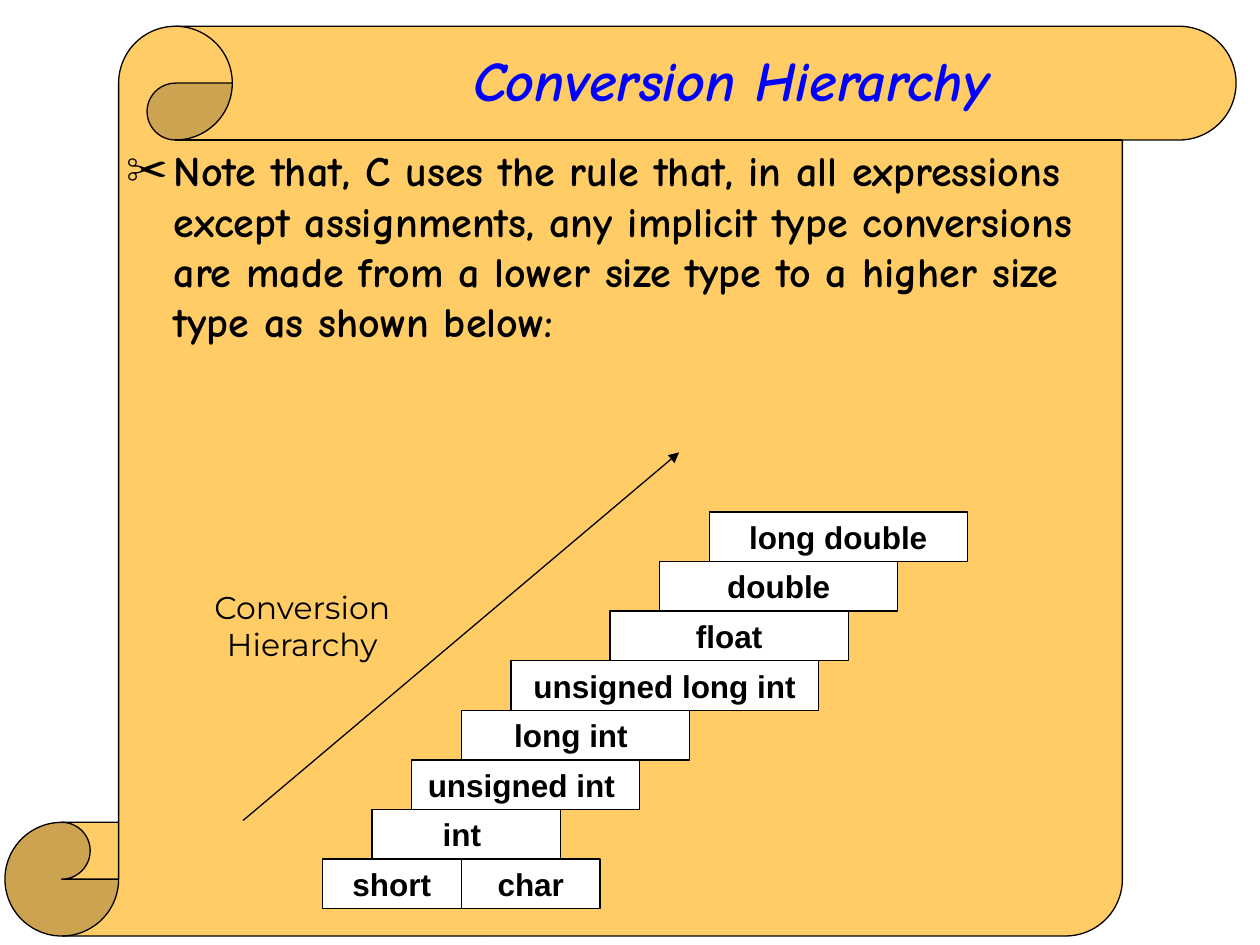
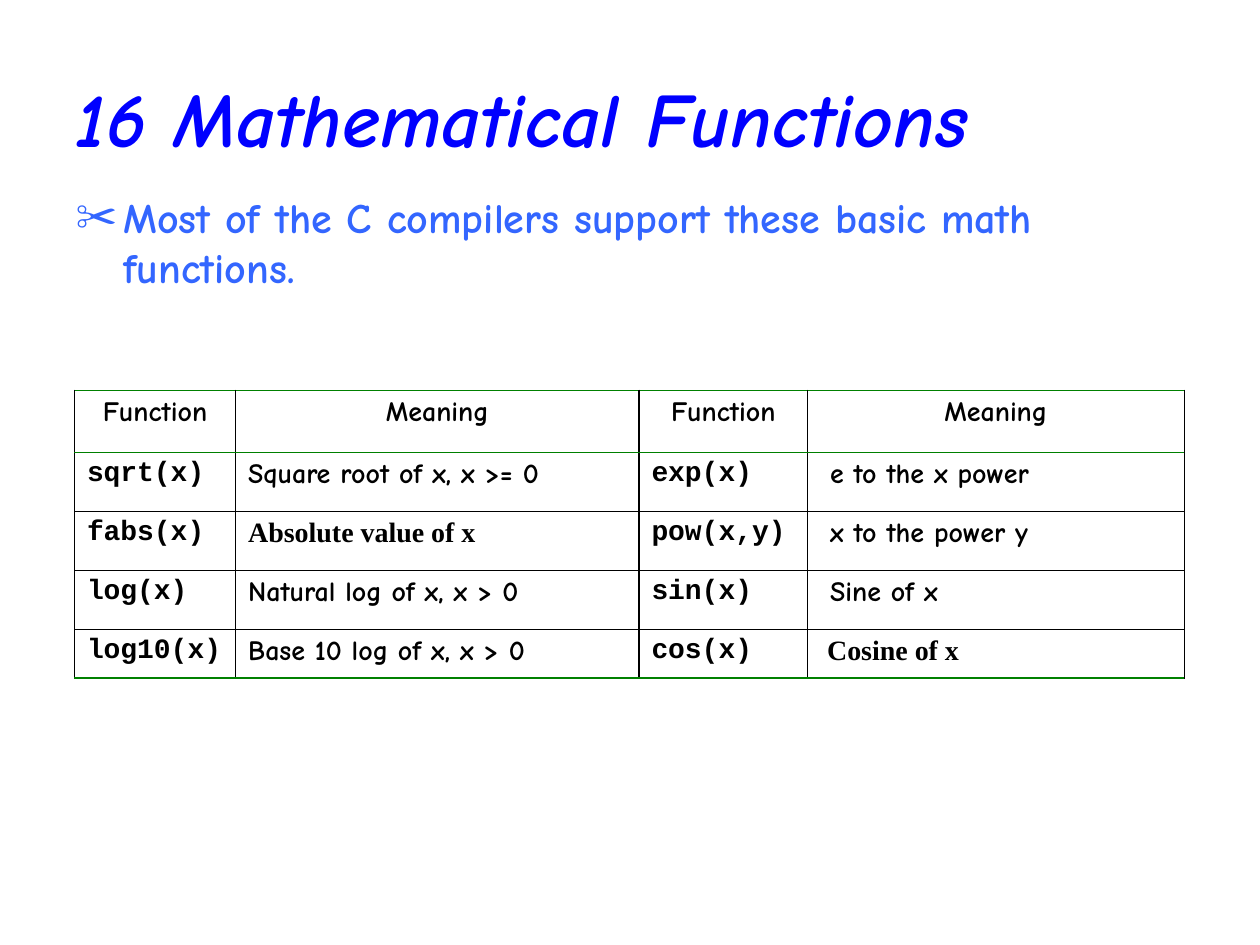
from typing import NamedTuple

from lxml.etree import SubElement
from pptx import Presentation
from pptx.dml.color import RGBColor
from pptx.enum.shapes import MSO_CONNECTOR, MSO_SHAPE
from pptx.enum.text import MSO_ANCHOR, MSO_AUTO_SIZE, PP_ALIGN
from pptx.oxml.ns import qn
from pptx.util import Cm, Pt

GRID = Cm(1)  # side of one grid square; the slide is 25.4 by 19.05 squares
COLUMNS, ROWS = 25.4, 19.05

BLACK, WHITE = "000000", "FFFFFF"
PARCHMENT, TITLE_BLUE, TEXT_BLUE, RULE_GREEN = "FFCC66", "0000FF", "3366FF", "008000"
HAND, SANS, LABEL, CODE, SERIF = (
    "Comic Neue", "Arial", "Montserrat", "Courier New", "Times New Roman")
BULLET = "✂"
BULLET_INDENT = 0.96
THIN_LINE = 0.75


class Box(NamedTuple):
    left: float
    top: float
    width: float
    height: float


class Font(NamedTuple):
    name: str
    size: float
    color: str = BLACK
    bold: bool = True
    italic: bool = False


class Step(NamedTuple):
    """A type in the staircase: row counted from the bottom, column from its left."""
    text: str
    row: int
    column: float
    width: float


class Border(NamedTuple):
    color: str
    width: float


STEPS = [
    Step("short", 0, 0, 2.8),
    Step("char", 0, 2.8, 2.8),
    Step("int ", 1, 1, 3.8),
    Step("unsigned int ", 2, 1.8, 4.6),
    Step("long int ", 3, 2.8, 4.6),
    Step("unsigned long int", 4, 3.8, 6.2),
    Step("float", 5, 5.8, 4.8),
    Step("double", 6, 6.8, 4.8),
    Step("long double", 7, 7.8, 5.2),
]
STAIRS_LEFT, STAIRS_BOTTOM = 6.5, 18.32

FUNCTIONS = [
    ["Function", "Meaning", "Function", "Meaning"],
    ["sqrt(x)", "Square root of x, x >= 0", "exp(x)", " e to the x power"],
    ["fabs(x)", "Absolute value of x", "pow(x,y)", " x to the power y"],
    ["log(x)", "Natural log of x, x > 0", "sin(x)", " Sine of x"],
    ["log10(x)", "Base 10 log of x, x > 0", "cos(x)", " Cosine of x"],
]
SERIF_CELLS = {(2, 1), (4, 3)}
COLUMN_WIDTHS = [3.25, 8.13, 3.4, 7.59]
ROW_HEIGHTS = [1.24, 1.19, 1.19, 1.19, 0.99]
ROW_RULES = [Border(RULE_GREEN, 0.96), Border(RULE_GREEN, 0.45),
             *[Border(BLACK, 0.34)] * 3, Border(RULE_GREEN, 0.96)]
COLUMN_RULES = [Border(BLACK, width) for width in (0.45, 0.45, 0.96, 0.45, 0.45)]


def squares(count: float) -> int:
    return round(count * GRID)


def rgb(color: str) -> RGBColor:
    return RGBColor.from_string(color)


def place(shape, box: Box) -> None:
    shape.left, shape.top, shape.width, shape.height = map(squares, box)


def write(paragraph, text: str, font: Font, alignment=PP_ALIGN.LEFT) -> None:
    paragraph.alignment = alignment
    run = paragraph.add_run()
    run.text = text
    run.font.name, run.font.size = font.name, Pt(font.size)
    run.font.bold, run.font.italic = font.bold, font.italic
    run.font.color.rgb = rgb(font.color)


def fill_title(slide, box: Box, text: str, size: float, alignment) -> None:
    title = slide.shapes.title
    place(title, box)
    title.text_frame.auto_size = MSO_AUTO_SIZE.NONE
    title.text_frame.vertical_anchor = MSO_ANCHOR.MIDDLE
    font = Font(HAND, size, TITLE_BLUE, italic=True)
    write(title.text_frame.paragraphs[0], text, font, alignment)


def fill_body(slide, box: Box, text: str, color: str) -> None:
    body = slide.placeholders[1]
    place(body, box)
    body.text_frame.auto_size = MSO_AUTO_SIZE.NONE
    paragraph = body.text_frame.paragraphs[0]
    paragraph.space_before = Pt(6)
    write(paragraph, text, Font(HAND, 24, color))
    properties = paragraph._p.get_or_add_pPr()
    properties.set("marL", str(squares(BULLET_INDENT)))
    properties.set("indent", str(-squares(BULLET_INDENT)))
    bullet_color = SubElement(properties, qn("a:buClr"))
    SubElement(bullet_color, qn("a:srgbClr"), val=color)
    SubElement(properties, qn("a:buChar"), char=BULLET)


def add_panel(slide, kind, box: Box, fill: str, outlined: bool = True):
    panel = slide.shapes.add_shape(kind, *map(squares, box))
    panel.shadow.inherit = False
    panel.fill.solid()
    panel.fill.fore_color.rgb = rgb(fill)
    if outlined:
        panel.line.color.rgb = rgb(BLACK)
        panel.line.width = Pt(THIN_LINE)
    else:
        panel.line.fill.background()
    return panel


def add_text_panel(slide, box: Box, lines: list[str], font: Font,
                   fill: str, outlined: bool = True) -> None:
    frame = add_panel(slide, MSO_SHAPE.RECTANGLE, box, fill, outlined).text_frame
    frame.word_wrap = False
    frame.vertical_anchor = MSO_ANCHOR.MIDDLE
    for index, line in enumerate(lines):
        paragraph = frame.add_paragraph() if index else frame.paragraphs[0]
        write(paragraph, line, font, PP_ALIGN.CENTER)


def add_arrow(slide, start: tuple[float, float], end: tuple[float, float]) -> None:
    arrow = slide.shapes.add_connector(
        MSO_CONNECTOR.STRAIGHT, *map(squares, start + end))
    arrow.line.color.rgb = rgb(BLACK)
    arrow.line.width = Pt(THIN_LINE)
    SubElement(arrow.line._get_or_add_ln(), qn("a:tailEnd"), type="triangle")
    SubElement(arrow._element.spPr, qn("a:effectLst"))


def set_borders(cell, row: int, column: int) -> None:
    sides = {"a:lnL": COLUMN_RULES[column], "a:lnR": COLUMN_RULES[column + 1],
             "a:lnT": ROW_RULES[row], "a:lnB": ROW_RULES[row + 1]}
    properties = cell._tc.get_or_add_tcPr()
    for tag, border in sides.items():
        line = SubElement(properties, qn(tag), w=str(Pt(border.width)))
        fill = SubElement(line, qn("a:solidFill"))
        SubElement(fill, qn("a:srgbClr"), val=border.color)


def cell_font(row: int, column: int) -> Font:
    if (row, column) in SERIF_CELLS:
        return Font(SERIF, 16)
    return Font(CODE if row and column % 2 == 0 else HAND, 16)


def add_function_table(slide, left: float, top: float) -> None:
    box = Box(left, top, sum(COLUMN_WIDTHS), sum(ROW_HEIGHTS))
    table = slide.shapes.add_table(
        len(ROW_HEIGHTS), len(COLUMN_WIDTHS), *map(squares, box)).table
    table.first_row = table.horz_banding = False
    for column, width in zip(table.columns, COLUMN_WIDTHS):
        column.width = squares(width)
    for row, height in zip(table.rows, ROW_HEIGHTS):
        row.height = squares(height)
    for row, texts in enumerate(FUNCTIONS):
        for column, text in enumerate(texts):
            cell = table.cell(row, column)
            set_borders(cell, row, column)
            cell.fill.background()
            alignment = PP_ALIGN.LEFT if row else PP_ALIGN.CENTER
            write(cell.text_frame.paragraphs[0], text,
                  cell_font(row, column), alignment)


def build_hierarchy_slide(slide) -> None:
    scroll = add_panel(slide, MSO_SHAPE.VERTICAL_SCROLL,
                       Box(0.1, 0.53, 24.82, 18.34), PARCHMENT)
    slide.shapes._spTree.insert(2, scroll._element)  # behind the placeholders
    fill_title(slide, Box(4.7, 0, 20.09, 3.18), "Conversion Hierarchy", 32,
               PP_ALIGN.CENTER)
    fill_body(slide, Box(2.29, 2.79, 20.22, 16.33),
              "Note that, C uses the rule that, in all expressions except "
              "assignments, any implicit type conversions are made from a lower "
              "size type to a higher size type as shown below:", BLACK)
    for step in STEPS:
        box = Box(STAIRS_LEFT + step.column, STAIRS_BOTTOM - step.row - 1, step.width, 1)
        add_text_panel(slide, box, [step.text], Font(SANS, 18), WHITE)
    add_arrow(slide, (4.9, 16.54), (13.69, 9.12))
    add_text_panel(slide, Box(4.29, 11.91, 3.61, 1.4), ["Conversion", "Hierarchy"],
                   Font(LABEL, 18, bold=False), PARCHMENT, outlined=False)


def build_functions_slide(slide) -> None:
    fill_title(slide, Box(1.27, 0.76, 22.86, 3.18), "16 Mathematical Functions", 44,
               PP_ALIGN.LEFT)
    fill_body(slide, Box(1.27, 3.73, 23.04, 2.87),
              "Most of the C compilers support these basic math functions.", TEXT_BLUE)
    add_function_table(slide, 1.5, 7.87)


def main() -> None:
    presentation = Presentation()
    presentation.slide_width, presentation.slide_height = squares(COLUMNS), squares(ROWS)
    title_and_content = presentation.slide_layouts[1]
    for build in (build_hierarchy_slide, build_functions_slide):
        build(presentation.slides.add_slide(title_and_content))
    presentation.save("out.pptx")


if __name__ == "__main__":
    main()
